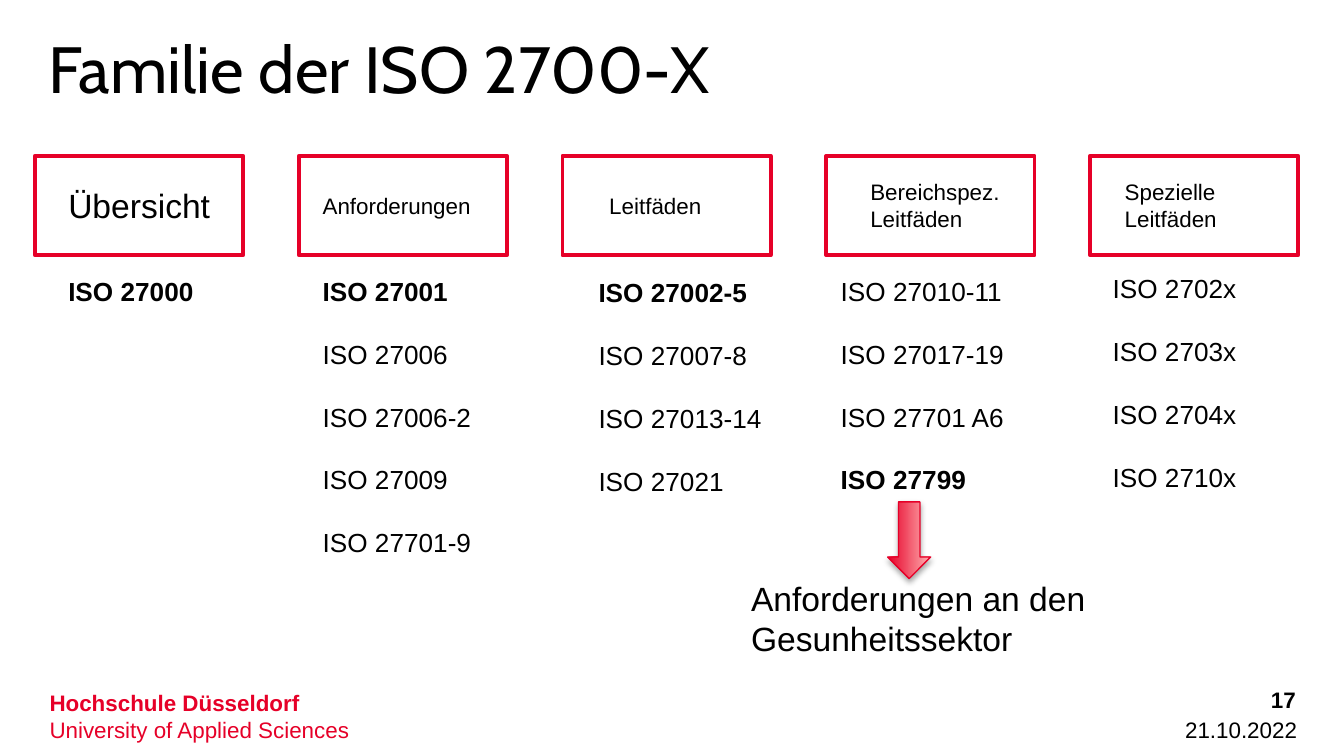
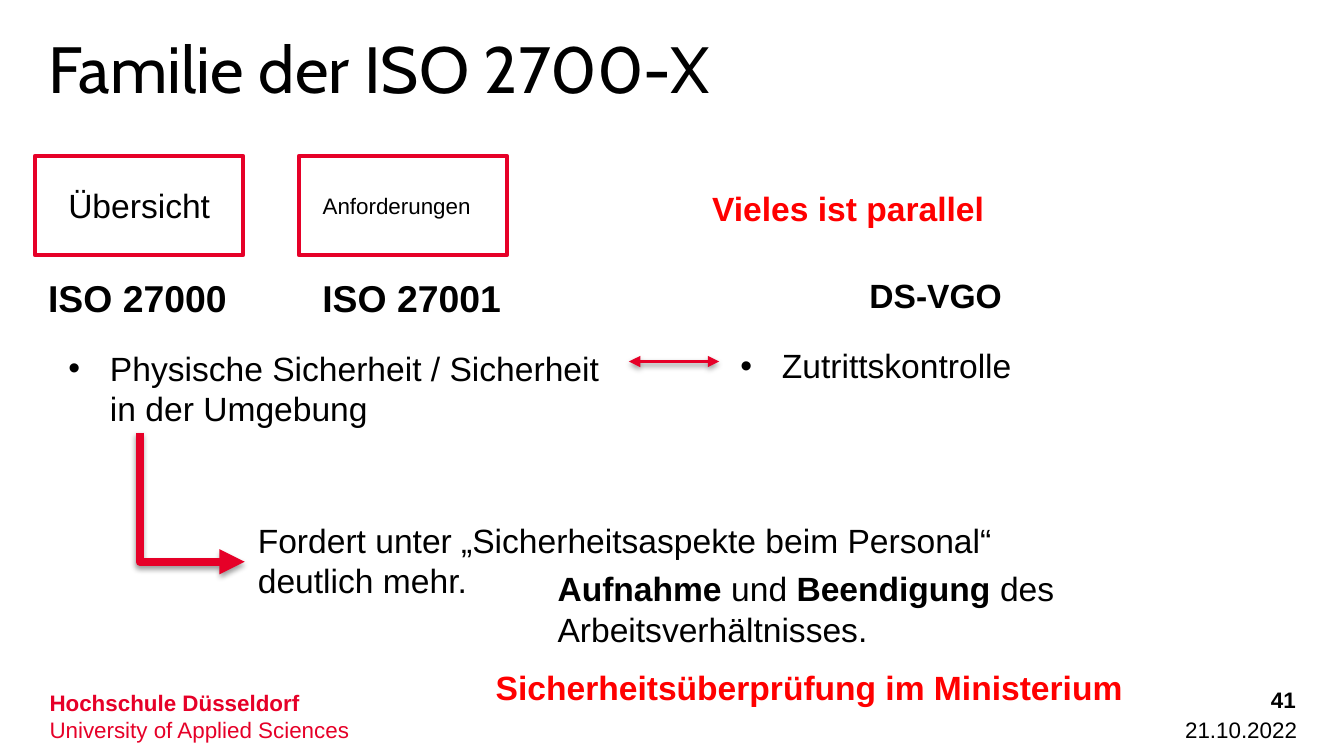
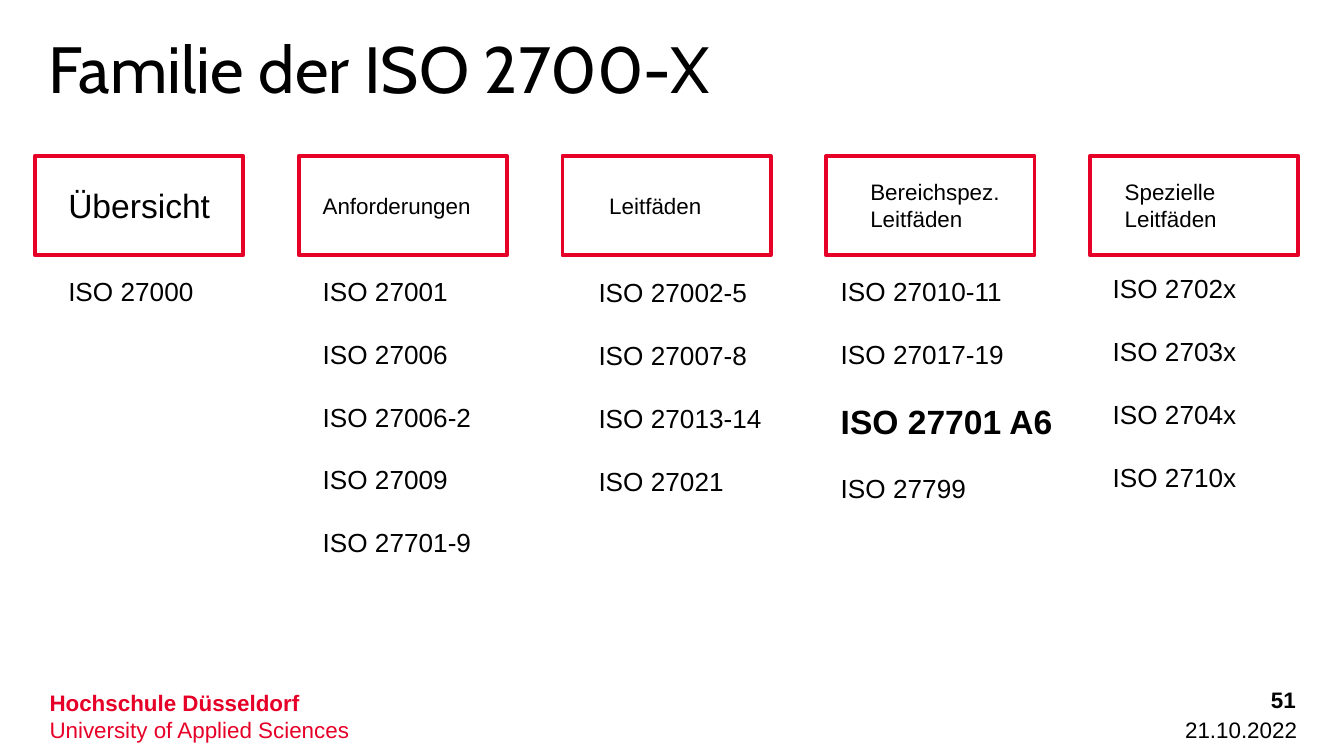
import lxml.etree
import pptx
import pptx.dml.color
import pptx.enum.shapes
import pptx.enum.text
import pptx.oxml
import pptx.oxml.ns
import pptx.util

Inches = pptx.util.Inches
Pt = pptx.util.Pt
ALIGN = pptx.enum.text.PP_ALIGN
ANCHOR = pptx.enum.text.MSO_ANCHOR
SHAPE = pptx.enum.shapes.MSO_SHAPE
CONNECTOR = pptx.enum.shapes.MSO_CONNECTOR

SLIDE_WIDTH = 10
SLIDE_HEIGHT = SLIDE_WIDTH * 9 / 16
RED, BRIGHT_RED, PINK = "E60028", "FF0000", "FFB1B2"
BLACK, WHITE = "000000", "FFFFFF"
BODY_FONT, TITLE_FONT = "Arial", "Cabin"
TITLE = "Familie der ISO 2700-X"
DATE = "21.10.2022"

HEADER_LEFT, HEADER_TOP, HEADER_WIDTH, HEADER_HEIGHT = 0.26, 1.16, 1.55, 0.74
HEADER_PITCH = (8.11 - HEADER_LEFT) / 4

# label lines, label size, label offset, list offset (left, top), standards
COLUMNS = [
    (["Übersicht"], 18, 0.15, (0.15, 0.84), ["ISO 27000"]),
    (["Anforderungen"], 12, 0.08, (0.08, 0.84),
     ["ISO 27001", "ISO 27006", "ISO 27006-2", "ISO 27009", "ISO 27701-9"]),
    (["Leitfäden"], 12, 0.25, (0.17, 0.85),
     ["ISO 27002-5", "ISO 27007-8", "ISO 27013-14", "ISO 27021"]),
    (["Bereichspez.", "Leitfäden"], 12, 0.23, (0.01, 0.84),
     ["ISO 27010-11", "ISO 27017-19", "ISO 27701 A6", "ISO 27799"]),
    (["Spezielle", "Leitfäden"], 12, 0.16, (0.07, 0.82),
     ["ISO 2702x", "ISO 2703x", "ISO 2704x", "ISO 2710x"]),
]


def rgb(value):
    return pptx.dml.color.RGBColor.from_string(value)


def format_font(font, size, bold=False, color=BLACK, name=BODY_FONT):
    font.name = name
    font.size = Pt(size)
    font.bold = bold
    font.color.rgb = rgb(color)


def text_height(lines, size):
    """Height in inches of a text box with its insets."""
    return 0.1 + lines * size * 1.2 / 72


def add_text(slide, box, paragraphs, size, bold=False, color=BLACK,
             align=ALIGN.LEFT, anchor=ANCHOR.TOP):
    """Add a text box; a paragraph is a string or a list of (text, bold)."""
    text_box = slide.shapes.add_textbox(*map(Inches, box))
    frame = text_box.text_frame
    frame.word_wrap = True
    frame.vertical_anchor = anchor
    for index, content in enumerate(paragraphs):
        paragraph = frame.add_paragraph() if index else frame.paragraphs[0]
        paragraph.alignment = align
        runs = [(content, bold)] if isinstance(content, str) else content
        for text, run_bold in runs:
            run = paragraph.add_run()
            run.text = text
            format_font(run.font, size, run_bold, color)
    return frame


def add_bullet(slide, box, text):
    paragraph = add_text(slide, box, [text], 18).paragraphs[0]
    properties = paragraph._p.get_or_add_pPr()
    properties.set("marL", str(Inches(0.31)))
    properties.set("indent", str(-Inches(0.31)))
    for tag, attribute, value in (("a:buFont", "typeface", BODY_FONT),
                                  ("a:buChar", "char", "•")):
        element = lxml.etree.SubElement(properties, pptx.oxml.ns.qn(tag))
        element.set(attribute, value)


def set_shadow(shape, opacity, distance):
    """Give a shape or connector a soft shadow straight below it."""
    properties = shape._element.spPr
    for effects in properties.findall(pptx.oxml.ns.qn("a:effectLst")):
        properties.remove(effects)
    properties.append(pptx.oxml.parse_xml(
        f'<a:effectLst {pptx.oxml.ns.nsdecls("a")}>'
        f'<a:outerShdw blurRad="{Pt(3.1)}" dist="{Pt(distance)}" dir="5400000" '
        f'rotWithShape="0"><a:srgbClr val="{BLACK}">'
        f'<a:alpha val="{opacity * 1000}"/></a:srgbClr></a:outerShdw>'
        '</a:effectLst>'))


def add_arrow_line(slide, kind, start, end, width, arrowheads):
    connector = slide.shapes.add_connector(kind, *map(Inches, start + end))
    connector.line.color.rgb = rgb(RED)
    connector.line.width = Pt(width)
    line = connector.line._get_or_add_ln()
    for arrowhead in arrowheads:
        element = lxml.etree.SubElement(line, pptx.oxml.ns.qn(f"a:{arrowhead}"))
        element.set("type", "triangle")
    set_shadow(connector, 38, 1.6)
    return connector


def add_corner_arrow(slide, start, end):
    """Add an arrow that runs down from start, then right to end."""
    center_x, center_y = (start[0] + end[0]) / 2, (start[1] + end[1]) / 2
    half_width, half_height = (end[1] - start[1]) / 2, (end[0] - start[0]) / 2
    connector = add_arrow_line(
        slide, CONNECTOR.ELBOW,
        (center_x + half_width, center_y - half_height),
        (center_x - half_width, center_y + half_height), 4.5, ["tailEnd"])
    properties = connector._element.spPr
    properties.find(pptx.oxml.ns.qn("a:xfrm")).set("rot", str(270 * 60000))
    properties.find(pptx.oxml.ns.qn("a:prstGeom")).set("prst", "bentConnector2")


def add_down_arrow(slide, box):
    arrow = slide.shapes.add_shape(SHAPE.RIGHT_ARROW, *map(Inches, box))
    arrow.rotation = 90
    arrow.fill.gradient()
    arrow.fill.gradient_angle = 90
    for stop, color, position in zip(arrow.fill.gradient_stops, (RED, PINK), (0, 1)):
        stop.color.rgb = rgb(color)
        stop.position = position
    arrow.line.color.rgb = rgb(RED)
    arrow.line.width = Pt(0.75)
    set_shadow(arrow, 35, 1.8)


def add_header(slide, index):
    """Add the framed heading of one column."""
    lines, size, offset, _, _ = COLUMNS[index]
    left = HEADER_LEFT + index * HEADER_PITCH
    frame = slide.shapes.add_shape(
        SHAPE.RECTANGLE,
        *map(Inches, (left, HEADER_TOP, HEADER_WIDTH, HEADER_HEIGHT)))
    frame.shadow.inherit = False
    frame.fill.solid()
    frame.fill.fore_color.rgb = rgb(WHITE)
    frame.line.color.rgb = rgb(RED)
    frame.line.width = Pt(2)
    height = text_height(len(lines), size)
    top = HEADER_TOP + (HEADER_HEIGHT - height) / 2
    width = min(3.46, SLIDE_WIDTH - left - offset)
    add_text(slide, (left + offset, top, width, height), lines, size)


def add_standards(slide, index, highlights):
    """List one column's standards; highlights maps a name to its bold size."""
    _, _, _, (offset_x, offset_y), standards = COLUMNS[index]
    left = HEADER_LEFT + index * HEADER_PITCH + offset_x
    width = min(4, SLIDE_WIDTH - left)
    height = text_height(2 * len(standards) - 1, 14)
    frame = add_text(slide, (left, HEADER_TOP + offset_y, width, height),
                     standards, 14)
    for paragraph in frame.paragraphs[:-1]:
        paragraph.space_after = Pt(16.8)
    for paragraph in frame.paragraphs:
        if paragraph.text in highlights:
            format_font(paragraph.runs[0].font, highlights[paragraph.text], True)


def add_base_slide(presentation, number):
    """Add a slide with title, institution, date and page number."""
    slide = presentation.slides.add_slide(presentation.slide_layouts[5])
    title = slide.shapes.title
    title.left, title.top, title.width, title.height = map(
        Inches, (0.26, 0.16, 9.47, 0.9))
    frame = title.text_frame
    frame.text = TITLE
    frame.auto_size = pptx.enum.text.MSO_AUTO_SIZE.NONE
    frame.vertical_anchor = ANCHOR.TOP
    frame.paragraphs[0].alignment = ALIGN.LEFT
    format_font(frame.paragraphs[0].runs[0].font, 35, name=TITLE_FONT)
    add_text(slide, (0.27, 5.08, 3.05, 0.5),
             [[("Hochschule Düsseldorf", True)], "University of Applied Sciences"],
             12, color=RED)
    add_text(slide, (8.7, 5.23, 1.05, 0.39), [DATE], 12,
             align=ALIGN.RIGHT, anchor=ANCHOR.MIDDLE)
    add_text(slide, (8.56, 5.06, 1.18, 0.37), [str(number)], 12, True,
             align=ALIGN.RIGHT)
    return slide


def add_family_slide(presentation, number, highlights):
    slide = add_base_slide(presentation, number)
    for index in range(len(COLUMNS)):
        add_header(slide, index)
        add_standards(slide, index, highlights)
    return slide


def add_health_note(slide, left, top):
    add_down_arrow(slide, (left + 0.99, top + 0.13, 0.57, 0.32))
    add_text(slide, (left, top + 0.52, 2.86, 0.71),
             ["Anforderungen an den Gesunheitssektor"], 18)


def add_comparison_slide(presentation, number):
    slide = add_base_slide(presentation, number)
    for index in range(2):
        add_header(slide, index)
    add_text(slide, (0.26, 2, 4.07, 0.44), ["ISO 27000"], 20, True)
    add_text(slide, (2.3, 2, 4.07, 1.38), ["ISO 27001"], 20, True)
    add_text(slide, (6.37, 2, 3.05, 0.4), ["DS-VGO"], 18, True)
    add_text(slide, (5.2, 1.35, 2.77, 0.4), ["Vieles ist parallel"], 18, True,
             BRIGHT_RED)
    add_bullet(slide, (0.41, 2.54, 4.18, 0.71),
               "Physische Sicherheit / Sicherheit in der Umgebung")
    add_bullet(slide, (5.41, 2.52, 4.18, 0.71), "Zutrittskontrolle")
    add_arrow_line(slide, CONNECTOR.STRAIGHT, (4.68, 2.69), (5.35, 2.69), 2,
                   ["headEnd", "tailEnd"])
    add_personnel_note(slide, 1.82, 3.82)


def add_personnel_note(slide, left, top):
    add_text(slide, (left, top, 6.01, 0.71),
             ["Fordert unter „Sicherheitsaspekte beim Personal“ deutlich mehr."], 18)
    add_corner_arrow(slide, (left - 0.78, top - 0.6), (left, top + 0.36))
    add_text(slide, (left + 2.23, top + 0.36, 3.92, 0.71),
             [[("Aufnahme", True), (" und ", False), ("Beendigung", True),
               (" des Arbeitsverhältnisses.", False)]], 18)
    add_text(slide, (left + 1.77, top + 1.09, 5.12, 0.4),
             ["Sicherheitsüberprüfung im Ministerium"], 18, True, BRIGHT_RED)


def main():
    presentation = pptx.Presentation()
    presentation.slide_width = Inches(SLIDE_WIDTH)
    presentation.slide_height = Inches(SLIDE_HEIGHT)
    main_standards = ["ISO 27000", "ISO 27001", "ISO 27002-5", "ISO 27799"]
    overview = add_family_slide(presentation, 17, dict.fromkeys(main_standards, 14))
    add_health_note(overview, 5.49, 3.73)
    add_comparison_slide(presentation, 41)
    add_family_slide(presentation, 51, {"ISO 27701 A6": 18})
    presentation.save("out.pptx")


if __name__ == "__main__":
    main()
